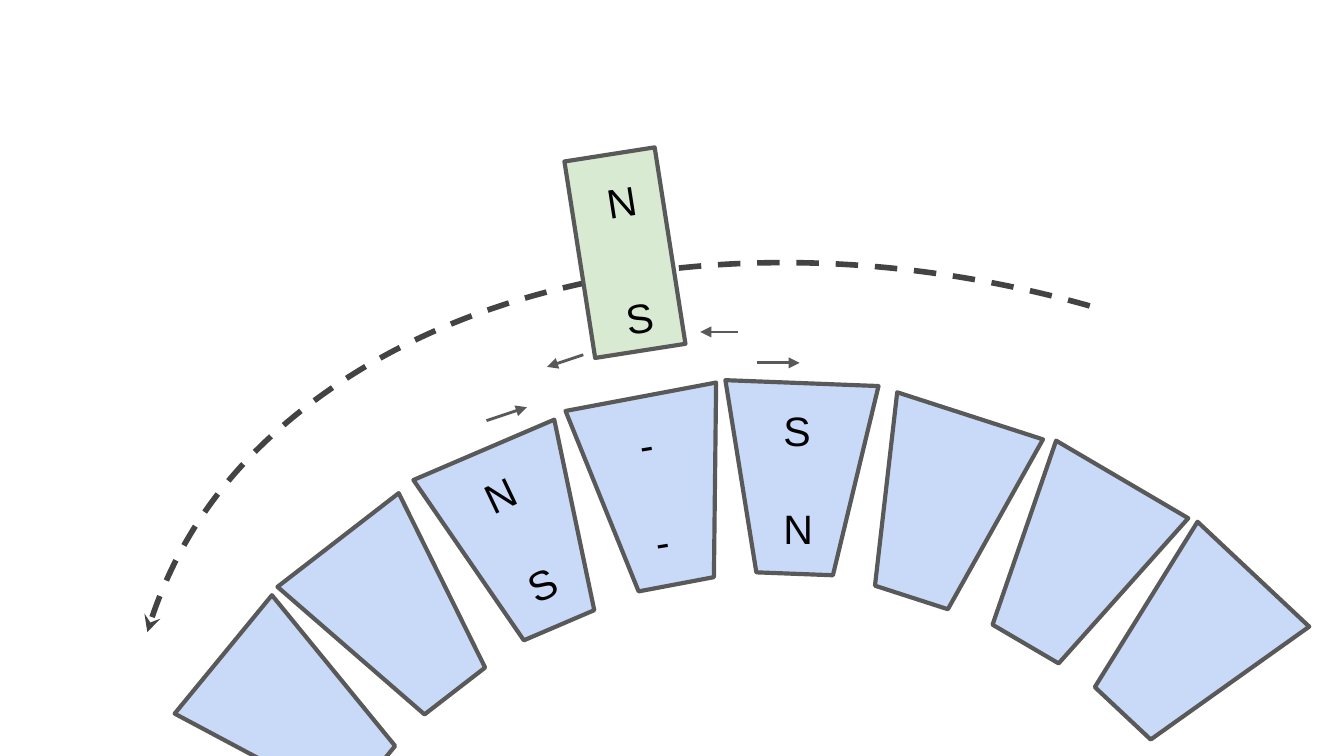
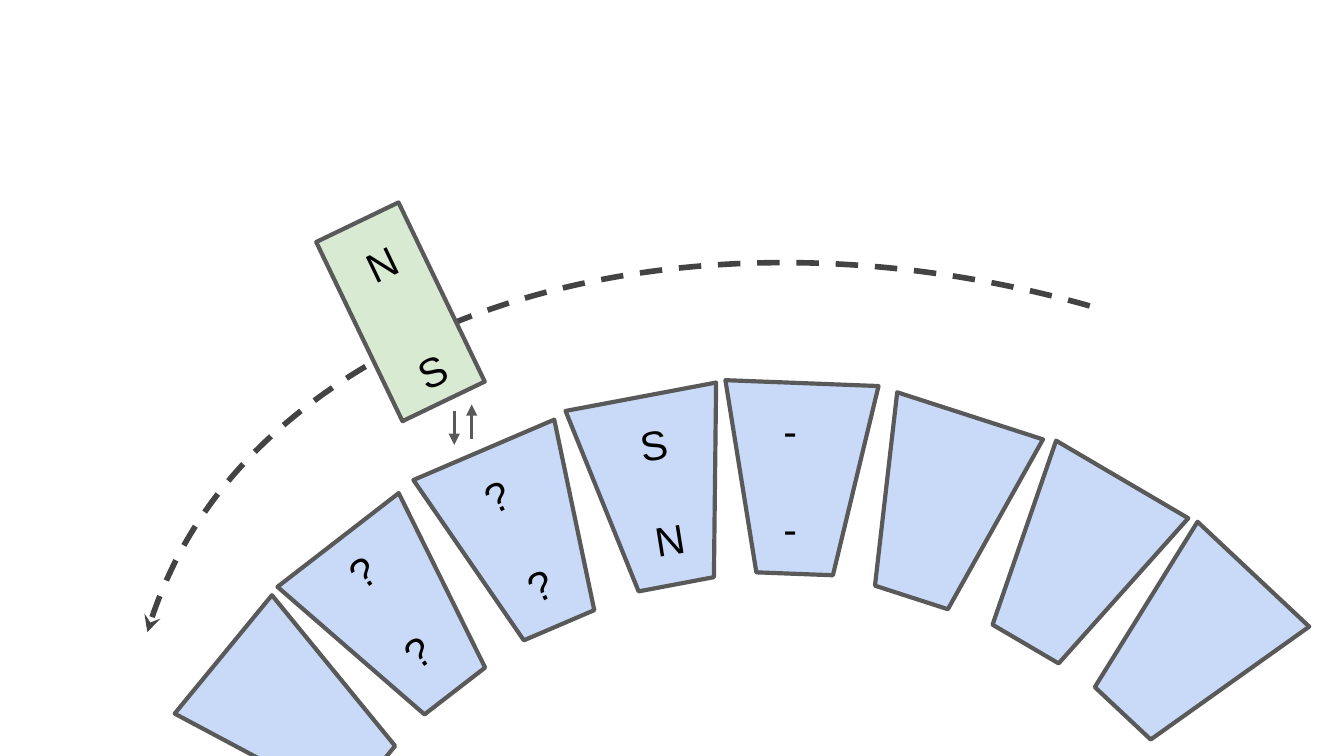
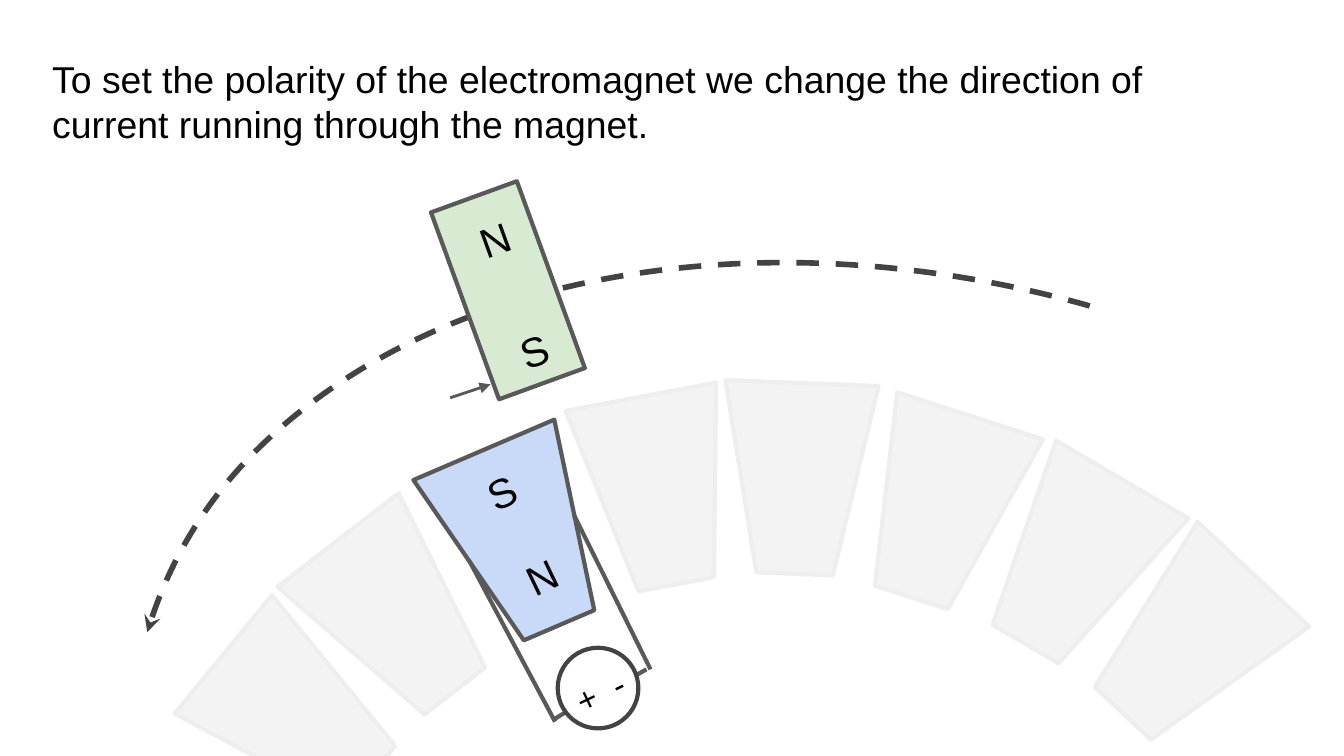
import pptx
import pptx.util
import pptx.oxml
import pptx.oxml.ns
import pptx.dml.color
import pptx.enum.dml
import pptx.enum.shapes
import pptx.enum.text

PX = 9144
SLIDE_SIZE = (1000, 562.5)
FONT = "Arial"
COLORS = {
    "text": "000000", "outline": "595959", "dark": "434343", "coil": "C9DAF8",
    "magnet": "D9EAD3", "idle": "F3F3F3", "idle_outline": "EEEEEE", "white": "FFFFFF",
}
SHAPE = pptx.enum.shapes.MSO_SHAPE

ORBIT = (266, 31, 866, 1230, 286.6)
COIL_SIZE = (114, 142)
COILS = [
    (164, 461, 129.4), (238, 387, 142.3), (331, 329, 156.8), (433, 294, 169.3),
    (537, 285, 182.2), (643, 306, 197.9), (742, 347, 210.4), (827, 408, 223.2),
]
MAGNET_SIZE = (68, 148)
LABEL_HEIGHT, LABEL_PT = 57, 22
SIGN_SIZE, SIGN_PT, SIGN_ANGLE = (24, 51), 18, 334.2

SLIDES = [
    {
        "magnet": (431, 114, 351.1),
        "poles": [("N", 441, 113, 148), ("S", 455, 199, 148)],
        "labels": [
            ("N", 348, 326, 106, 334.6), ("S", 381, 396, 86, 334.6),
            ("-", 465, 293, 148, 350.9), ("-", 477, 365, 148, 350.9),
            ("S", 573, 292, 148, 0), ("N", 573, 365, 148, 0),
        ],
        "arrows": [(563, 270, 595, 270), (549, 247, 521, 247),
                   (362, 313, 392, 303), (434, 264, 407, 273)],
    },
    {
        "magnet": (264, 158, 334.3),
        "poles": [("N", 261, 159, 81), ("S", 296, 224, 148)],
        "labels": [
            ("?", 245, 377, 106, 324.9), ("?", 288, 442, 86, 324.9),
            ("?", 348, 326, 106, 334.6), ("?", 381, 396, 86, 334.6),
            ("S", 466, 299, 77, 350.9), ("N", 477, 369, 91, 350.9),
            ("-", 573, 292, 148, 0), ("-", 573, 365, 148, 0),
        ],
        "arrows": [(351, 327, 351, 301), (338, 306, 338, 331)],
    },
    {
        "caption": "To set the polarity of the electromagnet we change the direction "
                   "of current running through the magnet.",
        "active": 2,
        "wires": [(427, 383, 484, 498), (424, 528, 411, 536),
                  (349, 417, 413, 537), (481, 498, 469, 505)],
        "source": (415, 482, 60, 60),
        "signs": [("-", 446, 485), ("+", 420, 497)],
        "magnet": (344, 142, 340),
        "poles": [("N", 346, 143, 81), ("S", 374, 214, 148)],
        "labels": [("S", 351, 329, 81, 334.3), ("N", 380, 392, 81, 334.3)],
        "arrows": [(335, 296, 365, 286)],
    },
]


def emu(*lengths):
    return [round(n * PX) for n in lengths]


def rgb(name):
    return pptx.dml.color.RGBColor.from_string(COLORS[name])


def add_line_part(line, tag, **attrs):
    ln = line._get_or_add_ln()
    part = pptx.oxml.parse_xml(f'<a:{tag} {pptx.oxml.ns.nsdecls("a")}/>')
    for key, value in attrs.items():
        part.set(key, value)
    ln.append(part)


def style_line(line, color, width):
    line.color.rgb = rgb(color)
    line.width = pptx.util.Pt(width)


def add_shape(s, kind, box, rot=0, fill=None, outline="outline", width=2.25, dash=None):
    sp = s.shapes.add_shape(kind, *emu(*box))
    sp.rotation = rot
    sp.shadow.inherit = False
    if fill:
        sp.fill.solid()
        sp.fill.fore_color.rgb = rgb(fill)
    else:
        sp.fill.background()
    style_line(sp.line, outline, width)
    if dash:
        sp.line.dash_style = dash
    add_line_part(sp.line, "round")
    return sp


def add_text(s, text, box, rot=0, size=LABEL_PT):
    sp = s.shapes.add_textbox(*emu(*box))
    sp.rotation = rot
    tf = sp.text_frame
    tf.word_wrap = True
    tf.auto_size = pptx.enum.text.MSO_AUTO_SIZE.SHAPE_TO_FIT_TEXT
    tf.margin_left = tf.margin_right = tf.margin_top = tf.margin_bottom = 10 * PX
    p = tf.paragraphs[0]
    p.text = text
    p.font.name = FONT
    p.font.size = pptx.util.Pt(size)
    p.font.color.rgb = rgb("text")


def add_line(s, ends, width, arrow=False):
    c = s.shapes.add_connector(pptx.enum.shapes.MSO_CONNECTOR.STRAIGHT, *emu(*ends))
    style_line(c.line, "outline", width)
    if arrow:
        add_line_part(c.line, "tailEnd", type="triangle")
    c._element.spPr.append(
        pptx.oxml.parse_xml(f'<a:effectLst {pptx.oxml.ns.nsdecls("a")}/>'))


def add_ring(s, active):
    *box, rot = ORBIT
    orbit = add_shape(s, SHAPE.ARC, box, rot, outline="dark", width=3,
                      dash=pptx.enum.dml.MSO_LINE.DASH)
    add_line_part(orbit.line, "headEnd", type="stealth")
    for i, (x, y, rot) in enumerate(COILS):
        fill, outline = ("coil", "outline") if active in (None, i) else ("idle", "idle_outline")
        add_shape(s, SHAPE.TRAPEZOID, (x, y, *COIL_SIZE), rot, fill, outline)


def add_circuit(s, content):
    for ends in content["wires"]:
        add_line(s, ends, 2.25)
    add_shape(s, SHAPE.OVAL, content["source"], fill="white", outline="dark")
    for text, x, y in content["signs"]:
        add_text(s, text, (x, y, *SIGN_SIZE), SIGN_ANGLE, SIGN_PT)


def build_slide(prs, content):
    s = prs.slides.add_slide(prs.slide_layouts[6])
    add_ring(s, content.get("active"))
    if "caption" in content:
        add_text(s, content["caption"], (29, 32, 921, 88), size=20)
    if "wires" in content:
        add_circuit(s, content)
    x, y, rot = content["magnet"]
    add_shape(s, SHAPE.RECTANGLE, (x, y, *MAGNET_SIZE), rot, "magnet")
    poles = [(*pole, rot) for pole in content["poles"]]
    for text, x, y, width, angle in poles + content["labels"]:
        add_text(s, text, (x, y, width, LABEL_HEIGHT), angle)
    for ends in content["arrows"]:
        add_line(s, ends, 1.5, arrow=True)


def main():
    prs = pptx.Presentation()
    prs.slide_width, prs.slide_height = emu(*SLIDE_SIZE)
    for content in SLIDES:
        build_slide(prs, content)
    prs.save("out.pptx")


if __name__ == "__main__":
    main()
